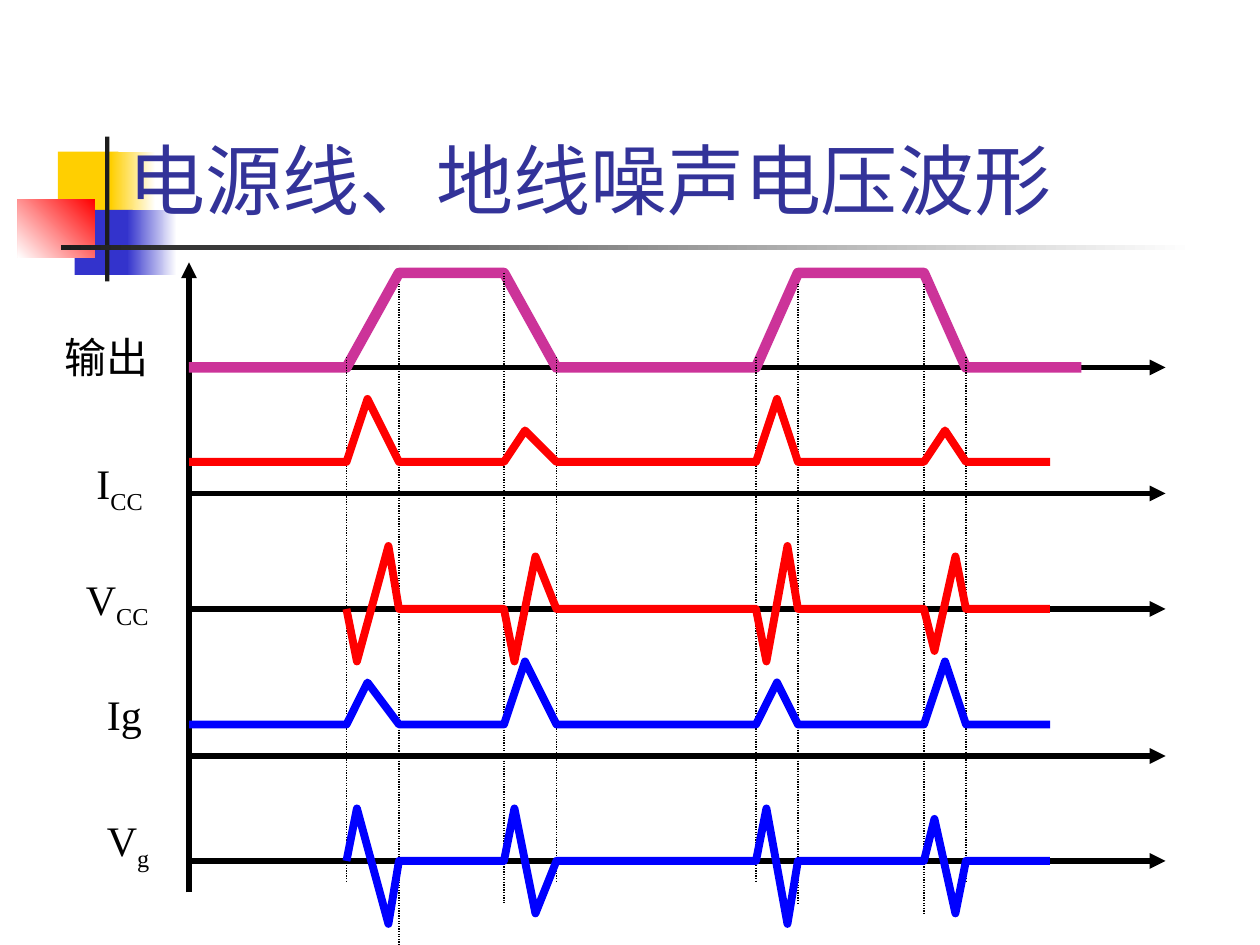
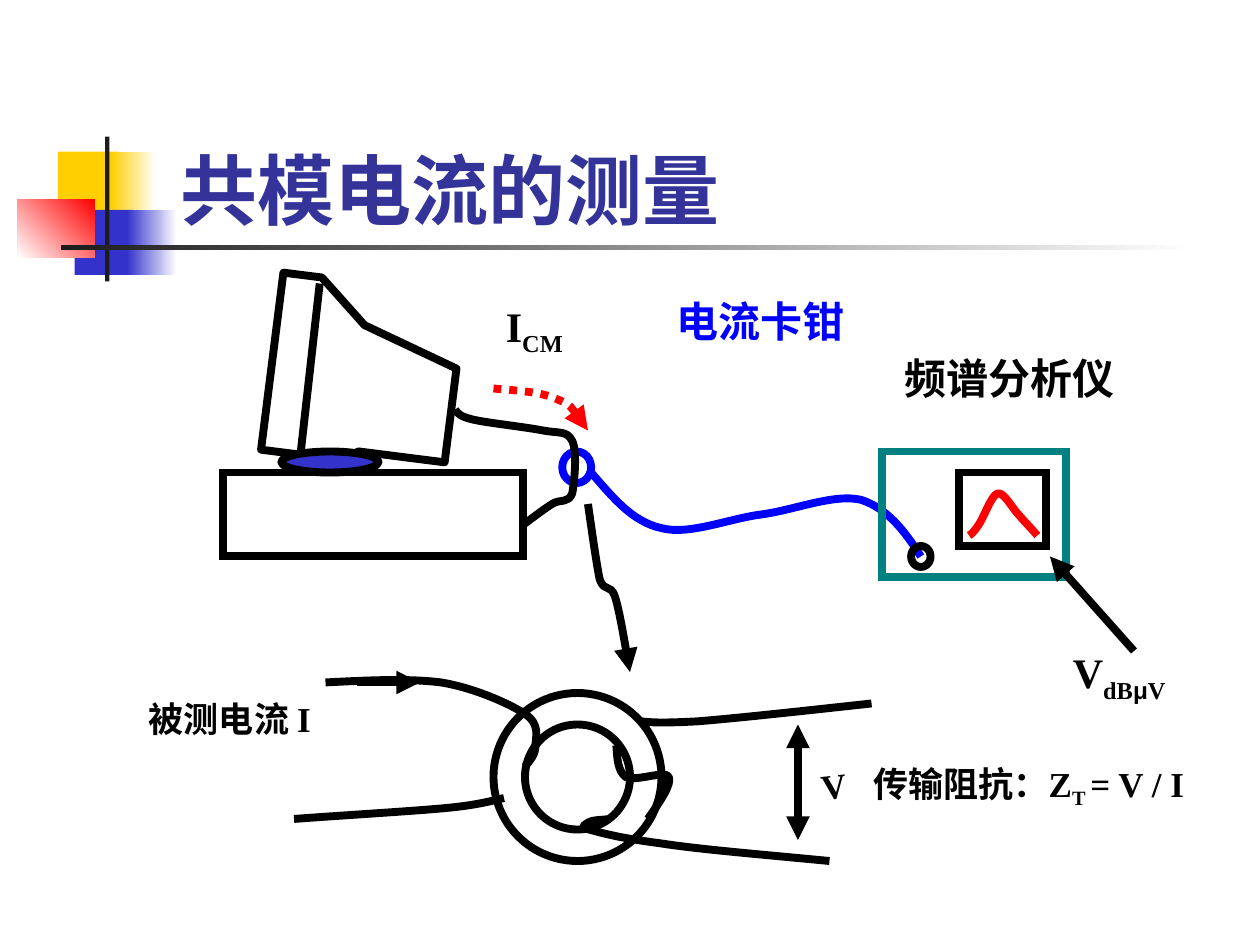
import pptx
import pptx.dml.color
import pptx.enum.dml
import pptx.enum.shapes
import pptx.enum.text
import pptx.oxml
import pptx.oxml.ns
import pptx.util

COLS, ROWS = 120, 90
CELL = pptx.util.Inches(10) // COLS
BLACK, RED, BLUE, NAVY, WHITE = "000000", "FF0000", "0000FF", "3333CC", "FFFFFF"
YELLOW, CHAR, TITLE = "FFCF01", "1C1C1C", "333399"
SERIF, SANS, HEAD = "Times New Roman", "Arial", "Cabin"
THICK = 4.5
SUB = {"base": -25}
KIND = pptx.enum.shapes.MSO_SHAPE
DOT = pptx.enum.dml.MSO_LINE.ROUND_DOT
MID = pptx.enum.text.MSO_ANCHOR.MIDDLE
LEFT, MIDDLE = pptx.enum.text.PP_ALIGN.LEFT, pptx.enum.text.PP_ALIGN.CENTER


def tint(code):
    """Turn a hex string into a colour."""
    return pptx.dml.color.RGBColor.from_string(code)


def cells(*counts):
    """Turn counts of grid cells into lengths."""
    return [round(count * CELL) for count in counts]


def node(name, **marks):
    """Make one drawing element."""
    made = pptx.oxml.parse_xml(f"<a:{name} {pptx.oxml.ns.nsdecls('a')}/>")
    for key, value in marks.items():
        made.set(key, value)
    return made


def stroke(line, hue, wide, dash=None, head=False, tail=False, sharp=False):
    """Format a line with its dash, corners and arrowheads."""
    line.color.rgb = tint(hue)
    line.width = pptx.util.Pt(wide)
    if dash:
        line.dash_style = dash
    ends = line._get_or_add_ln()
    if sharp:
        ends.append(node("miter", lim="800000"))
    for name, wanted in (("headEnd", head), ("tailEnd", tail)):
        if wanted:
            ends.append(node(name, type="triangle"))


def write(frame, *parts, size=24, hue=BLACK, face=SERIF, bold=False,
          align=LEFT, before=None):
    """Write one paragraph from strings and (string, format) pairs."""
    para = frame.paragraphs[0]
    para.alignment = align
    if before is not None:
        para.space_before = pptx.util.Pt(before)
    for part in parts:
        text, look = (part, {}) if isinstance(part, str) else part
        run = para.add_run()
        run.text = text
        run.font.name = look.get("face", face)
        run.font.size = pptx.util.Pt(size)
        run.font.bold = bold
        run.font.color.rgb = tint(hue)
        if "base" in look:
            run._r.get_or_add_rPr().set("baseline", str(look["base"] * 1000))


def bend(made):
    """Turn each three straight steps of an outline into one cubic curve."""
    steps = list(made._element.iter(pptx.oxml.ns.qn("a:lnTo")))
    for at in range(0, len(steps), 3):
        curve = node("cubicBezTo")
        steps[at].addprevious(curve)
        for step in steps[at:at + 3]:
            curve.append(step[0])
            step.getparent().remove(step)


class Pane:
    """A region of a slide whose parts are placed from its corner."""

    def __init__(self, slide, left, top):
        """Keep the slide's shapes and the corner in cells."""
        self.shapes, self.left, self.top = slide.shapes, left, top

    def place(self, x, y, wide, high):
        """Give a box of the pane as lengths on the slide."""
        return cells(self.left + x, self.top + y, wide, high)

    def shape(self, kind, box, fill=None, line=None, fade=None, angle=180):
        """Add a preset shape, plain or faded between two colours."""
        made = self.shapes.add_shape(kind, *self.place(*box))
        made.shadow.inherit = False
        if fade:
            made.fill.gradient()
            made.fill.gradient_angle = angle
            for stop, hue in zip(made.fill.gradient_stops, fade):
                stop.color.rgb = tint(hue)
        elif fill:
            made.fill.solid()
            made.fill.fore_color.rgb = tint(fill)
        else:
            made.fill.background()
        if line:
            stroke(made.line, line, THICK, sharp=kind == KIND.RECTANGLE)
        else:
            made.line.fill.background()
        return made

    def line(self, start, end, wide=THICK, **look):
        """Add a straight line."""
        ends = self.place(*start, 0, 0)[:2] + self.place(*end, 0, 0)[:2]
        made = self.shapes.add_connector(pptx.enum.shapes.MSO_CONNECTOR.STRAIGHT, *ends)
        stroke(made.line, BLACK, wide, **look)
        made._element.spPr.append(node("effectLst"))

    def trace(self, spots, hue=BLACK, wide=THICK, shut=False, **look):
        """Add an outline through spots."""
        spots = [self.place(x, y, 0, 0)[:2] for x, y in spots]
        pen = self.shapes.build_freeform(*spots[0])
        pen.add_line_segments(spots[1:], close=shut)
        made = pen.convert_to_shape()
        made.shadow.inherit = False
        made.fill.background()
        stroke(made.line, hue, wide, **look)
        return made

    def curve(self, knots, hue=BLACK, **look):
        """Add a smooth line, three knots for each curve after the first."""
        bend(self.trace(knots, hue, **look))

    def label(self, box, *parts, turn=0, size=24, **look):
        """Add a text box."""
        made = self.shapes.add_textbox(*self.place(*box))
        made.rotation = turn
        made.text_frame.word_wrap = True
        write(made.text_frame, *parts, size=size, before=size * 0.625, **look)


def band(pane):
    """Draw the blocks and rules beside the title."""
    box = KIND.RECTANGLE
    pane.shape(box, (3.84, 1.44, 5.76, 6.24), fill=YELLOW)
    pane.shape(box, (8.88, 1.44, 4.25, 6.24), fade=(WHITE, YELLOW))
    pane.shape(box, (5.44, 7, 5.52, 6.2), fill=NAVY)
    pane.shape(box, (10.4, 7, 4.75, 6.2), fade=(WHITE, NAVY))
    pane.shape(box, (0, 6, 7.36, 5.52), fade=(RED, WHITE), angle=225)
    pane.shape(box, (8.34, 0, 0.4, 13.8), fill=CHAR)
    pane.shape(box, (4.14, 10.36, 108, 0.42), fade=(WHITE, CHAR))


def start(deck, text, left, top, bold=False):
    """Add a slide with the band and its title."""
    slide = deck.slides.add_slide(deck.slide_layouts[5])
    band(Pane(slide, 1.68, 13))
    title = slide.shapes.title
    title.left, title.top, title.width, title.height = cells(left, top, 102, 15)
    frame = title.text_frame
    frame.auto_size = pptx.enum.text.MSO_AUTO_SIZE.NONE
    frame.vertical_anchor = pptx.enum.text.MSO_ANCHOR.BOTTOM
    write(frame, text, size=44, hue=TITLE, face=HEAD, bold=bold)
    title._element.getparent().append(title._element)
    return slide


def waves(pane):
    """Draw the timing chart of output, currents and noise voltages."""
    edges = (15, 20), (30, 35), (54, 58), (70, 74)
    last = 82
    swing = ((1, 5), (4, -6)), ((1, 5), (3, -5)), ((1, 5), (3, -6)), ((1, 4), (3, -5))

    def pulse(base, hue, bumps, sign=1, lead=True):
        """Draw a flat signal with a bump at each edge."""
        spots = [(0, base)] if lead else []
        for (rise, rest), bump in zip(edges, bumps):
            spots += [(rise, base), *((rise + lag, base + sign * jump) for lag, jump in bump),
                      (rest, base)]
        pane.trace(spots + [(last, base)], hue)

    pane.line((0, 60), (0, 0), 3, tail=True)
    for base in (10, 22, 33, 47, 57):
        pane.line((0, base), (93, base), 3, tail=True)

    level = [(x, 10 if (at + side) % 2 == 0 else 1)
             for at, edge in enumerate(edges) for side, x in enumerate(edge)]
    pane.trace([(0, 10), *level, (85, 10)], "CC3399", 6)

    tops = 9, 2, 1, 9, 9, 2, 2, 9
    feet = 59, 65, 61, 59, 59, 61, 62, 59
    for (x, _), top, foot in zip(level, tops, feet):
        pane.line((x, top), (x, foot), 0.75, dash=DOT)

    pulse(19, RED, [((2, -jump),) for jump in (6, 3, 6, 3)])
    pulse(44, BLUE, [((2, -jump),) for jump in (4, 6, 4, 6)])
    pulse(33, RED, swing, lead=False)
    pulse(57, BLUE, swing, sign=-1, lead=False)

    names = ((-13, 6, "输出"), (-10, 18, "I", ("CC", SUB)), (-11, 29, "V", ("CC", SUB)),
             (-9, 40, "Ig"), (-9, 52, "V", ("g", SUB)))
    for x, y, *parts in names:
        pane.label((x, y, 11 if y == 6 else 10, 6), *parts)


def clamp(pane):
    """Draw the current clamp with its cable and arrows."""
    pane.shape(KIND.OVAL, (6.55, 15, 2.75, 3), line=BLUE)
    pane.curve([(9.3, 17), (11.3, 19.3), (13.2, 21.7), (16, 22.3), (18.6, 23),
                (22.4, 21.4), (25.5, 21), (28.6, 20.6), (32.4, 19), (35, 19.6),
                (37.5, 20.4), (39.2, 22.6), (40.7, 25)], BLUE)
    note = pane.shape(KIND.ROUNDED_RECTANGULAR_CALLOUT, (14.8, -1, 21.2, 7))
    for at, value in enumerate((-0.714, 1.949, 0.167)):
        note.adjustments[at] = value
    note.text_frame.word_wrap = False
    note.text_frame.vertical_anchor = MID
    write(note.text_frame, "电流卡钳", hue=BLUE, bold=True, align=MIDDLE)
    pane.curve([(0, 9), (2.2, 9.2), (4.5, 9.3), (6, 10), (7.5, 10.6), (8.2, 11.8), (9, 13)],
               RED, dash=DOT, tail=True)
    pane.label((0, 0, 9, 6.7), "I", ("CM", SUB), bold=True)
    pane.curve([(9, 20), (9.4, 22.8), (9.8, 25.6), (10.1, 27.1), (10.6, 28.6),
                (11.1, 27.4), (11.6, 28.9), (12, 30.3), (12.5, 33.2), (13, 36)], tail=True)


def desktop(pane):
    """Draw the computer with its wire."""
    pane.shape(KIND.RECTANGLE, (0.25, 19, 28.6, 8), line=BLACK)
    hull = [(0, 0), (3.7, 0), (8.3, 4), (17.5, 7), (17.5, 16), (9.2, 16), (8.3, 17), (0, 17)]
    pane.trace([(x + 4.86, y + 1) for x, y in hull], shut=True).rotation = 7.2
    pane.shape(KIND.OVAL, (5.8, 17, 9.25, 2), fill=NAVY, line=BLACK)
    pane.curve([(22.35, 13), (22.55, 13.35), (22.8, 13.7), (24.2, 14), (25.6, 14.3),
                (29.2, 14.7), (30.7, 15), (32.3, 15.3), (33, 15), (33.5, 16), (34, 17),
                (33.7, 20), (33.5, 21), (33.1, 22), (32.4, 21.5), (31.6, 22),
                (30.8, 22.5), (29.9, 23.2), (28.8, 24)])
    pane.line((9.45, 1), (7.65, 17))


def meter(pane):
    """Draw the spectrum meter with its screen and reading."""
    pane.shape(KIND.RECTANGLE, (0, 10, 17.5, 12), line="008080")
    pane.shape(KIND.RECTANGLE, (7.35, 12, 8.3, 7), line=BLACK)
    pane.shape(KIND.OVAL, (2.78, 19, 1.85, 2), line=BLACK)
    pane.curve([(8.3, 18), (8.5, 17.9), (8.8, 17.6), (9.2, 17), (9.7, 16.3), (10.4, 14.2),
                (11, 14), (11.6, 13.8), (12.4, 15.4), (13, 16), (13.6, 16.7),
                (14.2, 17.3), (14.8, 18)], RED)
    pane.label((1, 0, 25, 6), "频谱分析仪", bold=True)
    pane.label((17, 28, 14, 6.7), "V", ("dB", SUB), ("μ", {"face": SANS, **SUB}), ("V", SUB),
               bold=True)
    pane.line((24, 29), (16, 20), tail=True)


def coil(pane):
    """Draw the clamp's ring with its windings and formula."""
    for inset in (0, 3):
        pane.shape(KIND.OVAL, (34 + inset, 2 + inset, 16 - 2 * inset, 16 - 2 * inset), line=BLACK)
    wires = (
        [(18, 1), (21.9, 0.8), (25.9, 0.6), (29, 1), (32.1, 1.5), (35.5, 3), (37, 4),
         (38.5, 5), (38, 6.2), (38, 7), (38, 7.9), (37.5, 8.4), (37, 9)],
        [(35, 12), (33.7, 12.3), (32.4, 12.7), (29, 13), (25.6, 13.3), (20.4, 13.6), (15, 14)],
        [(45.7, 7), (45.8, 8.2), (45.8, 9.4), (46.6, 10), (47.5, 10.5), (50.4, 9.3),
         (50.7, 10), (51, 10.7), (49.9, 12.3), (48.7, 14)],
        [(45.1, 14), (44.2, 14.1), (43.4, 14.1), (43.1, 14.3), (42.8, 14.5), (42, 14.8),
         (43.1, 15), (44.2, 15.3), (45.9, 15.8), (49.8, 16.3), (53.6, 16.9), (59.8, 17.4),
         (66, 18)],
        [(48, 4.7), (48.9, 4.8), (49.8, 4.9), (53.5, 4.7), (57.2, 4.4), (63.6, 3.7), (70, 3)],
    )
    for wire in wires:
        pane.curve(wire)
    pane.line((21, 1), (27, 1), tail=True)
    pane.line((63, 5), (63, 16), head=True, tail=True)
    pane.label((0, 1.8, 21, 5.25), "被测电流 I", size=20, bold=True)
    pane.label((64, 8, 8, 5.25), "V", size=20, bold=True, turn=-6.5)
    pane.label((69, 8, 36, 5.8), "传输阻抗：Z", ("T ", SUB), "= V / I", size=20, bold=True)


def main():
    """Build both slides."""
    deck = pptx.Presentation()
    deck.slide_width, deck.slide_height = cells(COLS, ROWS)
    waves(Pane(start(deck, "电源线、地线噪声电压波形", 11, 7), 18, 25))
    slide = start(deck, "共模电流的测量", 16, 8, bold=True)
    for draw, left, top in ((clamp, 47, 28), (desktop, 21, 26), (meter, 84, 33), (coil, 13, 64)):
        draw(Pane(slide, left, top))
    deck.save("out.pptx")


if __name__ == "__main__":
    main()
